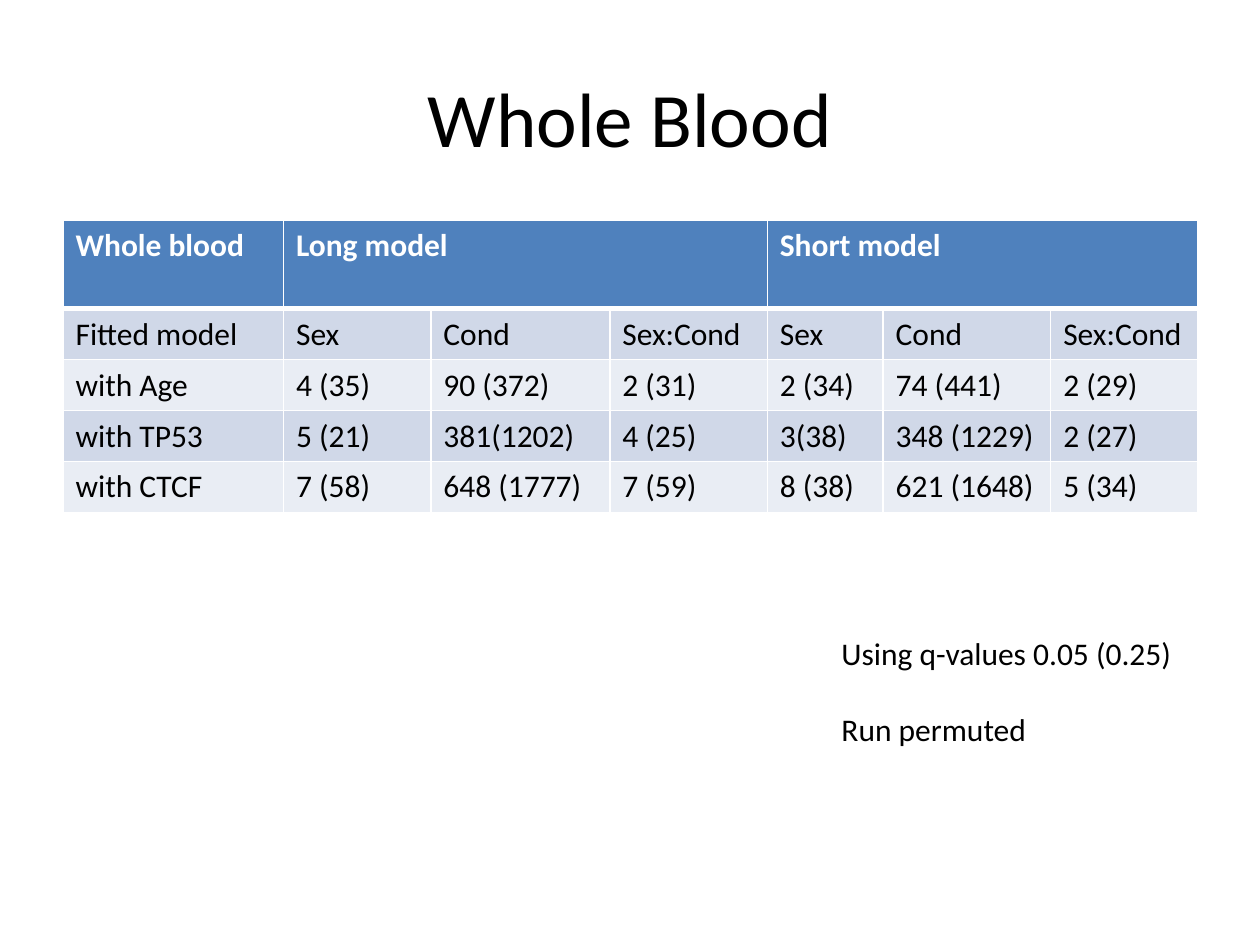
from dataclasses import dataclass

from lxml import etree
from pptx import Presentation
from pptx import util as u
from pptx.dml.color import RGBColor
from pptx.enum import text
from pptx.oxml.ns import qn

# Content
TITLE = "Whole Blood"
GROUPS = [(0, 1, "Whole blood"), (1, 3, "Long model"), (4, 3, "Short model")]
ROWS = [
    ("Fitted model", "Sex", "Cond", "Sex:Cond", "Sex", "Cond", "Sex:Cond"),
    ("with Age", "4 (35)", "90 (372)", "2 (31)", "2 (34)", "74 (441)", "2 (29)"),
    ("with TP53", "5 (21)", "381(1202)", "4 (25)", "3(38)", "348 (1229)", "2 (27)"),
    ("with CTCF", "7 (58)", "648 (1777)", "7 (59)", "8 (38)", "621 (1648)", "5 (34)"),
]
NOTES = ["Using q-values 0.05 (0.25)", "Run permuted"]

# Layout in inches
COL_WIDTHS = [1.75, 1.17, 1.42, 1.25, 0.92, 1.33, 1.17]
TABLE_H, HEADER_H = 2.32, 0.7


@dataclass(frozen=True)
class Theme:
    font: str = "Calibri"
    ink: str = "000000"
    white: str = "FFFFFF"
    header: str = "4F81BD"
    bands: tuple = ("D0D8E8", "E9EDF4")
    title_size: int = 44
    body_size: int = 18
    rule: int = 1
    header_rule: int = 3


T = Theme()


def write(tf, lines, size=T.body_size, color=T.ink, bold=False,
          align=text.PP_ALIGN.LEFT, gap=0):
    """Fill a text frame with one paragraph per line."""
    for i, line in enumerate(lines):
        p = tf.add_paragraph() if i else tf.paragraphs[0]
        p.alignment = align
        if i:
            p.space_before = u.Pt(gap)
        r = p.add_run()
        r.text = line
        r.font.name, r.font.size, r.font.bold = T.font, u.Pt(size), bold
        r.font.color.rgb = RGBColor.from_string(color)


def style_cell(cell, fill, top=T.rule, bottom=T.rule):
    """Draw white borders, then the fill."""
    tc_pr = cell._tc.get_or_add_tcPr()
    for side, width in zip("LRTB", (T.rule, T.rule, top, bottom)):
        ln = etree.SubElement(tc_pr, qn(f"a:ln{side}"), w=str(u.Pt(width)))
        solid = etree.SubElement(ln, qn("a:solidFill"))
        etree.SubElement(solid, qn("a:srgbClr"), val=T.white)
    cell.fill.solid()
    cell.fill.fore_color.rgb = RGBColor.from_string(fill)


def add_text(s, box, lines, wrap=True, anchor=text.MSO_ANCHOR.TOP, **fmt):
    tf = s.shapes.add_textbox(*map(u.Inches, box)).text_frame
    tf.word_wrap, tf.vertical_anchor = wrap, anchor
    write(tf, lines, **fmt)
    return tf


def add_results(s):
    box = map(u.Inches, (0.5, 1.75, 9, TABLE_H))
    table = s.shapes.add_table(len(ROWS) + 1, len(COL_WIDTHS), *box).table
    for col, width in zip(table.columns, COL_WIDTHS):
        col.width = u.Inches(width)
    for i, row in enumerate(table.rows):
        row.height = u.Inches((TABLE_H - HEADER_H) / len(ROWS) if i else HEADER_H)

    # Header groups
    for c in range(len(COL_WIDTHS)):
        style_cell(table.cell(0, c), T.header, bottom=T.header_rule)
    for start, span, label in GROUPS:
        cell = table.cell(0, start)
        if span > 1:
            cell.merge(table.cell(0, start + span - 1))
        write(cell.text_frame, [label], color=T.white, bold=True)

    # Banded body
    for i, values in enumerate(ROWS):
        for c, value in enumerate(values):
            cell = table.cell(i + 1, c)
            style_cell(cell, T.bands[i % 2], top=T.rule if i else T.header_rule)
            write(cell.text_frame, [value])


def main():
    prs = Presentation()
    prs.slide_width, prs.slide_height = u.Inches(10), u.Inches(7.5)
    s = prs.slides.add_slide(prs.slide_layouts[6])

    # Title, table, notes
    add_text(s, (0.5, 0.3, 9, 1.25), [TITLE], size=T.title_size,
             align=text.PP_ALIGN.CENTER, anchor=text.MSO_ANCHOR.MIDDLE)
    add_results(s)
    tf = add_text(s, (6.58, 4.98, 2.85, 1.01), NOTES, wrap=False, gap=22)
    tf.auto_size = text.MSO_AUTO_SIZE.SHAPE_TO_FIT_TEXT

    prs.save("out.pptx")


if __name__ == "__main__":
    main()
